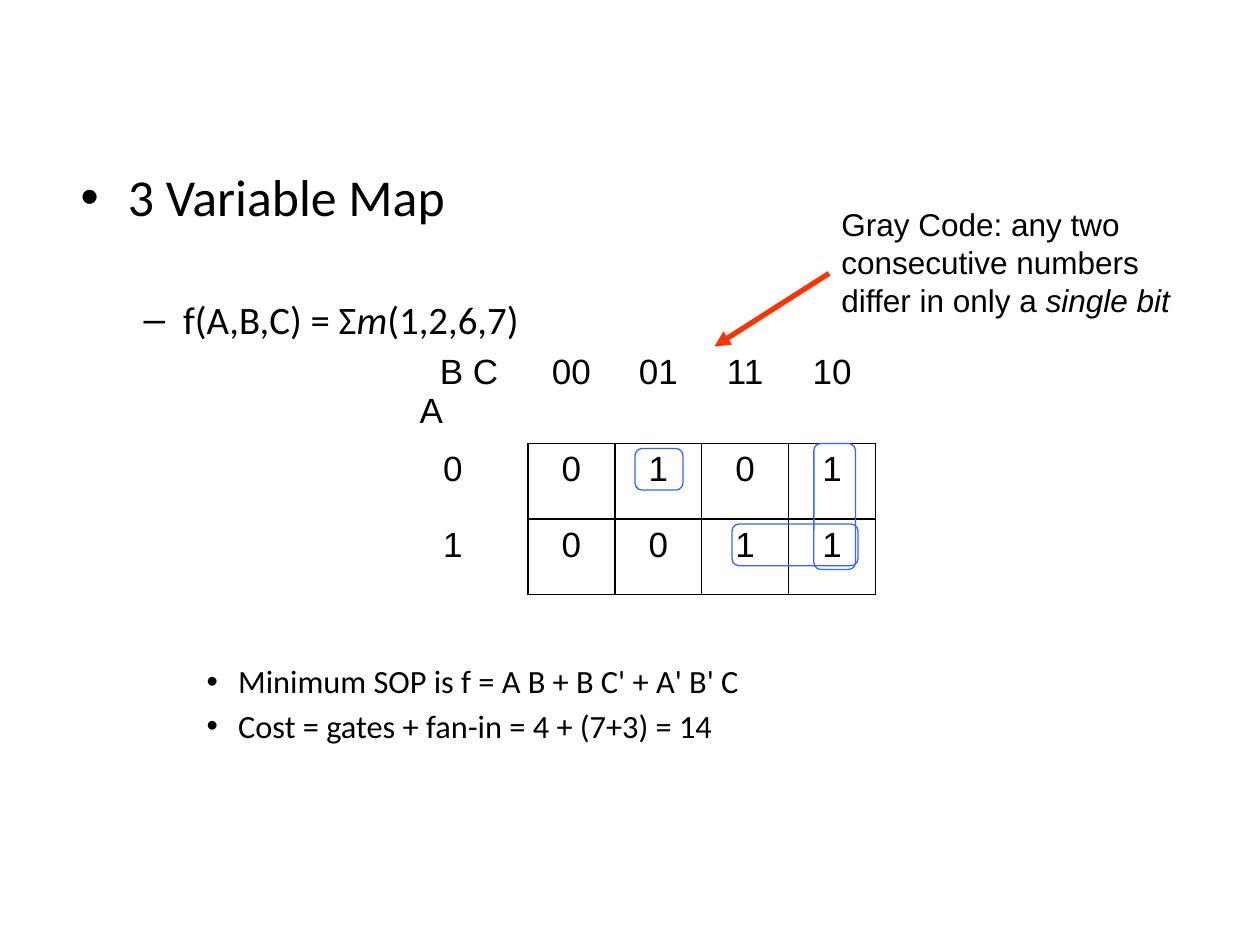
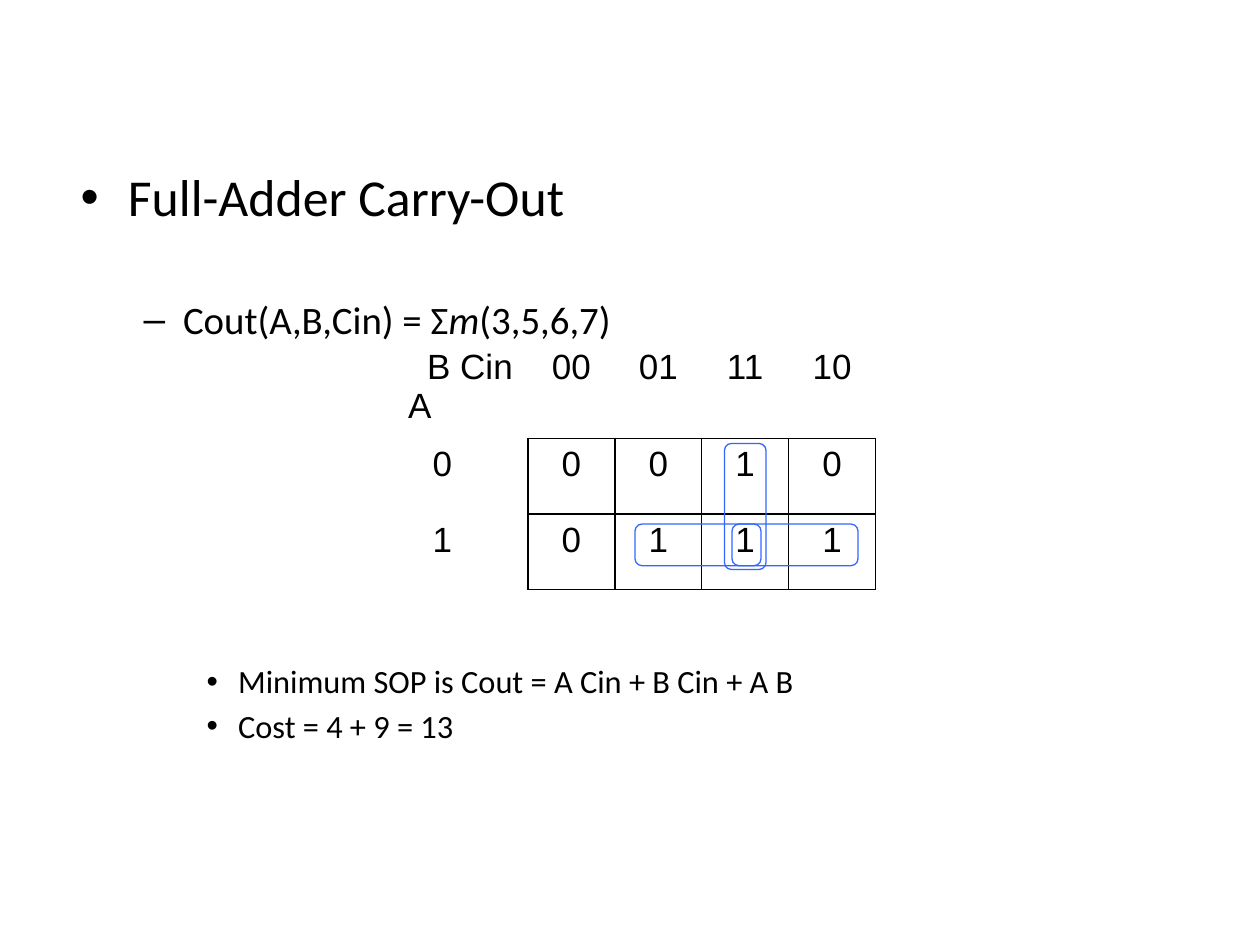
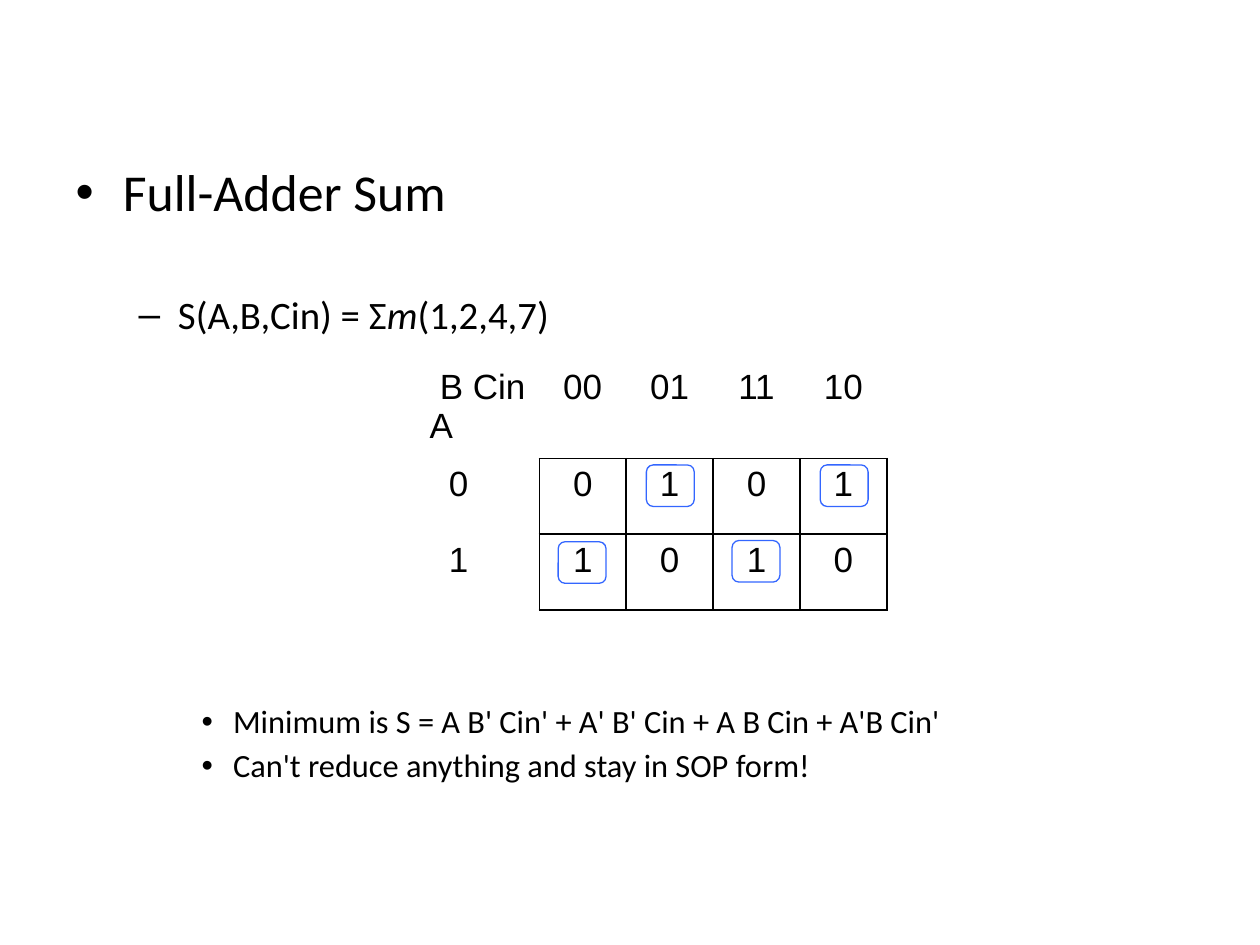
from lxml import etree
from pptx import Presentation
from pptx.dml.color import RGBColor
from pptx.enum.shapes import MSO_CONNECTOR, MSO_SHAPE
from pptx.enum.text import MSO_AUTO_SIZE, PP_ALIGN
from pptx.oxml.ns import qn
from pptx.util import Inches, Pt

BLACK = RGBColor(0x00, 0x00, 0x00)
BLUE = RGBColor(0x33, 0x66, 0xFF)
ORANGE = RGBColor(0xFF, 0x33, 0x00)

BODY_FONT, MAP_FONT = "Calibri", "Arial"
LEVEL_SIZES = (29.6, 22.2, 18.5)
FORMULA_GAP = 39  # points above the formula
NOTE_GAP = 3  # points above each note
NOTE_PITCH = 25.65  # points from one note line to the next

GRAY_CODES = ("00", "01", "11", "10")
COLUMN_WIDTH = 0.69
ROW_HEIGHTS = (0.77, 0.6, 0.6)

# Sizes of the loops drawn round groups of ones
SINGLE, ACROSS, DOWN = (0.38, 0.33), (1, 0.33), (0.33, 1)

SLIDES = [
    {
        "heading": "3 Variable Map",
        "formula": ("f(A,B,C) = Σ", "m", "(1,2,6,7)"),
        "notes": ("Minimum SOP is f = A B + B C' + A' B' C",
                  "Cost = gates + fan-in = 4 + (7+3) = 14"),
        "body_at": (0.54, 1.21),
        "map_lines": 7,
        "map_at": (3, 2.75),
        "label_width": 1.19,
        "axes": (("B C", 0.39), ("A", 0.23)),
        "values": ("0101", "0011"),
        "loops": ((6.46, 3.52, DOWN), (5.81, 4.16, ACROSS), (5.04, 3.56, SINGLE)),
        "callout": ("Gray Code: any two consecutive numbers differ in only a ",
                    "single bit"),
    },
    {
        "heading": "Full-Adder Carry-Out",
        "formula": ("Cout(A,B,Cin) = Σ", "m", "(3,5,6,7)"),
        "notes": ("Minimum SOP is Cout = A Cin + B Cin + A B",
                  "Cost = 4 + 9 = 13"),
        "body_at": (0.54, 1.21),
        "map_lines": 7,
        "map_at": (2.83, 2.71),
        "label_width": 1.36,
        "axes": (("B Cin", 0.46), ("A", 0.31)),
        "values": ("0010", "0111"),
        "loops": ((5.75, 3.52, DOWN), (5.04, 4.16, ACROSS), (5.81, 4.16, ACROSS)),
    },
    {
        "heading": "Full-Adder Sum",
        "formula": ("S(A,B,Cin) = Σ", "m", "(1,2,4,7)"),
        "notes": ("Minimum is S = A B' Cin' + A' B' Cin + A B Cin + A'B Cin'",
                  "Can't reduce anything and stay in SOP form!"),
        "body_at": (0.5, 1.17),
        "map_lines": 8,
        "map_at": (3, 2.87),
        "label_width": 1.28,
        "axes": (("B Cin", 0.39), ("A", 0.31)),
        "values": ("0101", "1010"),
        "loops": ((4.43, 4.3, SINGLE), (5.13, 3.69, SINGLE),
                  (5.81, 4.29, SINGLE), (6.51, 3.69, SINGLE)),
    },
]


def add_span(para, text, font, size, italic=False):
    span = para.add_run()
    span.text = text
    span.font.name = font
    span.font.size = Pt(size)
    span.font.italic = italic
    span.font.color.rgb = BLACK


def fill_body(page, content):
    page.shapes.title.element.getparent().remove(page.shapes.title.element)
    body = page.placeholders[1]
    left, top = content["body_at"]
    body.left, body.top = Inches(left), Inches(top)
    body.width, body.height = Inches(9), Inches(4.62)
    frame = body.text_frame
    frame.auto_size = MSO_AUTO_SIZE.NONE
    frame.margin_top = Inches(0.1)

    map_gap = NOTE_GAP + content["map_lines"] * NOTE_PITCH
    first_note, second_note = content["notes"]
    lines = [
        (0, 0, (content["heading"],)),
        (1, FORMULA_GAP, content["formula"]),
        (2, map_gap, (first_note,)),
        (2, NOTE_GAP, (second_note,)),
    ]
    for index, (level, gap, parts) in enumerate(lines):
        para = frame.add_paragraph() if index else frame.paragraphs[0]
        para.level = level
        para.space_before = Pt(gap)
        for part in parts:
            add_span(para, part, BODY_FONT, LEVEL_SIZES[level], part == "m")


def set_borders(cell, drawn):
    """Draw the named sides (of L, R, T, B) in black and clear the others."""
    properties = cell._tc.get_or_add_tcPr()
    for side in "LRTB":
        line = etree.SubElement(properties, qn(f"a:ln{side}"), w=str(Pt(1)))
        if side in drawn:
            fill = etree.SubElement(line, qn("a:solidFill"))
            etree.SubElement(fill, qn("a:srgbClr"), val=str(BLACK))
        else:
            etree.SubElement(line, qn("a:noFill"))


def add_map(page, content):
    widths = [content["label_width"]] + [COLUMN_WIDTH] * len(GRAY_CODES)
    left, top = content["map_at"]
    table = page.shapes.add_table(
        len(ROW_HEIGHTS), len(widths), Inches(left), Inches(top),
        Inches(sum(widths)), Inches(sum(ROW_HEIGHTS))).table
    table.first_row = table.horz_banding = False
    for column, width in zip(table.columns, widths):
        column.width = Inches(width)
    for row, height in zip(table.rows, ROW_HEIGHTS):
        row.height = Inches(height)

    rows = [("", *GRAY_CODES)]
    rows += [(str(a), *values) for a, values in enumerate(content["values"])]
    for r, texts in enumerate(rows):
        for c, text in enumerate(texts):
            cell = table.cell(r, c)
            if r and c:
                set_borders(cell, "LRTB")
            else:
                set_borders(cell, "R" if r else "B" if c else "")
            cell.fill.background()
            if text:
                para = cell.text_frame.paragraphs[0]
                para.alignment = PP_ALIGN.CENTER
                add_span(para, text, MAP_FONT, 20)

    frame = table.cell(0, 0).text_frame
    for index, (name, indent) in enumerate(content["axes"]):
        para = frame.add_paragraph() if index else frame.paragraphs[0]
        para._p.get_or_add_pPr().set("marL", str(Inches(indent)))
        add_span(para, name, MAP_FONT, 20)


def add_loop(page, left, top, size):
    width, height = size
    loop = page.shapes.add_shape(
        MSO_SHAPE.ROUNDED_RECTANGLE, Inches(left), Inches(top),
        Inches(width), Inches(height))
    loop.shadow.inherit = False
    loop.fill.background()
    loop.line.color.rgb = BLUE
    loop.line.width = Pt(0.75)


def add_callout(page, plain, emphasis):
    box = page.shapes.add_textbox(
        Inches(6.58), Inches(1.58), Inches(2.92), Inches(1))
    box.text_frame.word_wrap = True
    para = box.text_frame.paragraphs[0]
    add_span(para, plain, MAP_FONT, 18)
    add_span(para, emphasis, MAP_FONT, 18, italic=True)

    arrow = page.shapes.add_connector(
        MSO_CONNECTOR.STRAIGHT, Inches(6.58), Inches(2.17),
        Inches(5.67), Inches(2.75))
    arrow.line.color.rgb = ORANGE
    arrow.line.width = Pt(3)
    etree.SubElement(arrow.line._get_or_add_ln(), qn("a:tailEnd"), type="triangle")
    etree.SubElement(arrow._element.spPr, qn("a:effectLst"))


def main():
    deck = Presentation()
    deck.slide_width, deck.slide_height = Inches(10), Inches(7.5)
    for content in SLIDES:
        page = deck.slides.add_slide(deck.slide_layouts[1])
        fill_body(page, content)
        add_map(page, content)
        for loop in content["loops"]:
            add_loop(page, *loop)
        if "callout" in content:
            add_callout(page, *content["callout"])
    deck.save("out.pptx")


if __name__ == "__main__":
    main()
